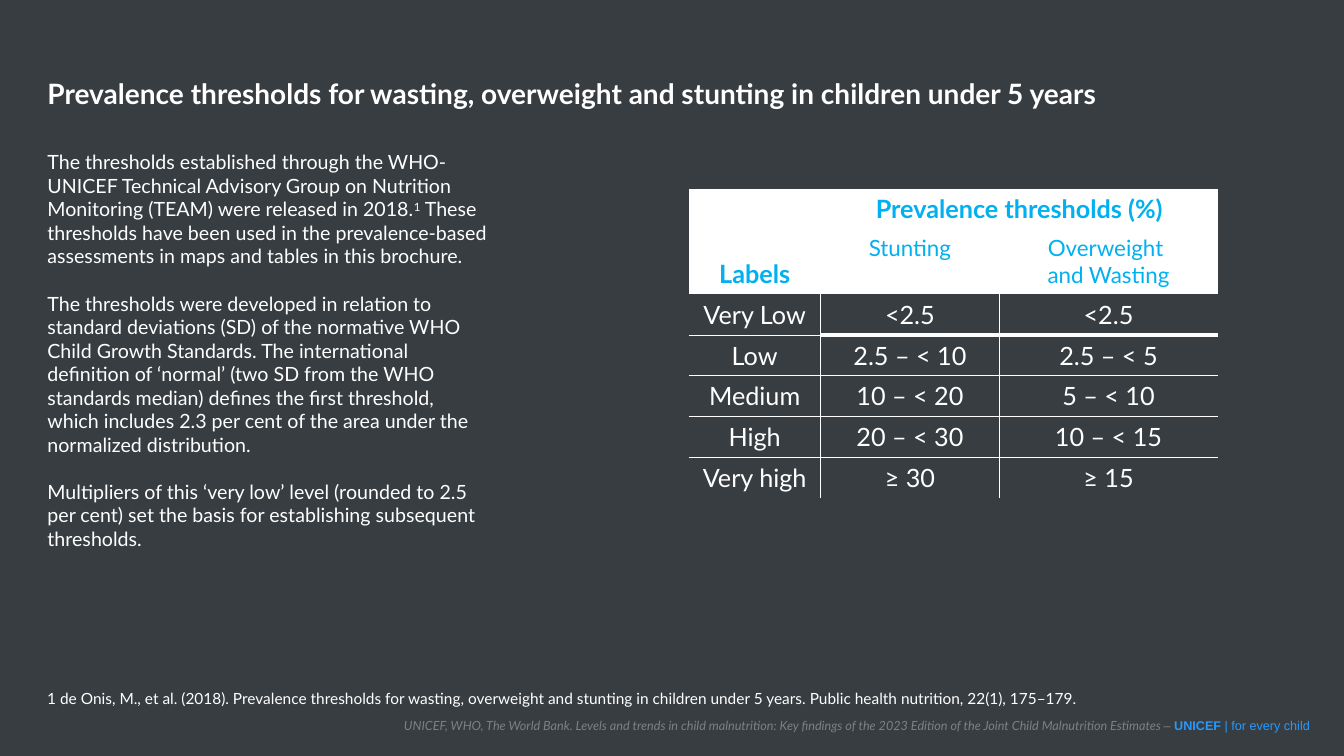
from lxml.etree import SubElement
from pptx import Presentation
from pptx.dml.color import RGBColor
from pptx.enum.text import MSO_ANCHOR, MSO_AUTO_SIZE, PP_ALIGN
from pptx.oxml.ns import qn
from pptx.util import Inches, Pt

DARK = RGBColor(0x37, 0x3D, 0x41)
WHITE = RGBColor(0xFF, 0xFF, 0xFF)
CYAN = RGBColor(0x00, 0xB0, 0xF0)
GRAY = RGBColor(0x80, 0x80, 0x80)
BLUE = RGBColor(0x28, 0x99, 0xFC)
NO_STYLE = "{2D5ABB26-0587-4C30-8999-92F81FD0307C}"

TITLE = ("Prevalence thresholds for wasting, overweight and stunting "
         "in children under 5 years")
# Each paragraph is a list of (text, is superscript)
BODY = [
    [("The thresholds established through the WHO-UNICEF Technical Advisory "
      "Group on Nutrition Monitoring (TEAM) were released in 2018.", False),
     ("1", True),
     (" These thresholds have been used in the prevalence-based assessments "
      "in maps and tables in this brochure.", False)],
    [("The thresholds were developed in relation to standard deviations (SD) "
      "of the normative WHO Child Growth Standards. The international "
      "definition of ‘normal’ (two SD from the WHO standards median) defines "
      "the first threshold, which includes 2.3 per cent of the area under "
      "the normalized distribution.", False)],
    [("Multipliers of this ‘very low’ level (rounded to 2.5 per cent) set "
      "the basis for establishing subsequent thresholds.", False)],
]
REFERENCE = ("1 de Onis, M., et al. (2018). Prevalence thresholds for wasting, "
             "overweight and stunting in children under 5 years. "
             "Public health nutrition, 22(1), 175–179.")
# Text, font, colour, bold, italic
FOOTER = [
    ("UNICEF, WHO, The World Bank. Levels and trends in child malnutrition: "
     "Key findings of the 2023 Edition of the Joint Child Malnutrition "
     "Estimates", "Lato", GRAY, False, True),
    (" – ", "Arial", GRAY, False, False),
    ("UNICEF", "Arial", BLUE, True, False),
    (" | for every child", "Arial", BLUE, False, False),
]
HEADER = [
    ["Labels", "Prevalence thresholds (%)", ""],
    ["", "Stunting", "Overweight \nand Wasting"],
]
LEVELS = [
    ["Very Low", "<2.5", "<2.5"],
    ["Low", "2.5 – < 10", "2.5 – < 5"],
    ["Medium", "10 – < 20", "5 – < 10"],
    ["High", "20 – < 30", "10 – < 15"],
    ["Very high", "≥ 30", "≥ 15"],
]
COL_WIDTHS = [1.31, 1.77, 2.17]
ROW_HEIGHTS = [0.41, 0.64] + [0.405] * len(LEVELS)


def style_run(r, size, color=WHITE, bold=False, italic=False, name="Lato"):
    f = r.font
    f.name, f.size, f.bold, f.italic = name, Pt(size), bold, italic
    f.color.rgb = color


def place(sp, x, y, w, h, anchor=MSO_ANCHOR.TOP):
    sp.left, sp.top, sp.width, sp.height = map(Inches, (x, y, w, h))
    tf = sp.text_frame
    tf.word_wrap = True
    tf.auto_size = MSO_AUTO_SIZE.NONE
    tf.vertical_anchor = anchor
    return tf


def add_title(slide, x, y, w, h):
    tf = place(slide.shapes.title, x, y, w, h)
    tf.text = TITLE
    p = tf.paragraphs[0]
    p.alignment = PP_ALIGN.LEFT
    style_run(p.runs[0], 20, bold=True)


def add_body(slide, x, y, w, h):
    tf = place(slide.placeholders[1], x, y, w, h)
    for i, parts in enumerate(BODY):
        p = tf.add_paragraph() if i else tf.paragraphs[0]
        pPr = p._p.get_or_add_pPr()
        pPr.set("marL", "0")
        pPr.set("indent", "0")
        SubElement(pPr, qn("a:buNone"))
        p.space_before = Pt(16.8 if i else 0)
        for text, superscript in parts:
            r = p.add_run()
            r.text = text
            style_run(r, 14)
            if superscript:
                r.font._element.set("baseline", "30000")


def add_reference(slide, x, y, w, h):
    tf = place(slide.shapes.add_textbox(0, 0, 0, 0), x, y, w, h)
    tf.text = REFERENCE
    style_run(tf.paragraphs[0].runs[0], 11)


def add_footer(slide, x, y, w, h):
    tf = place(slide.shapes.add_textbox(0, 0, 0, 0), x, y, w, h,
               MSO_ANCHOR.MIDDLE)
    p = tf.paragraphs[0]
    p.alignment = PP_ALIGN.RIGHT
    for text, name, color, bold, italic in FOOTER:
        r = p.add_run()
        r.text = text
        style_run(r, 9, color, bold, italic, name)


def set_borders(cell, **widths):
    """Draw white borders; keys L, R, T, B in that order, widths in points."""
    tcPr = cell._tc.get_or_add_tcPr()
    for side, width in widths.items():
        ln = SubElement(tcPr, qn(f"a:ln{side}"), w=str(Pt(width)))
        fill = SubElement(ln, qn("a:solidFill"))
        SubElement(fill, qn("a:srgbClr"), val=str(WHITE))


def fill_cell(cell, text, size, color, bold=False):
    cell.text = text
    for p in cell.text_frame.paragraphs:
        p.alignment = PP_ALIGN.CENTER
        for r in p.runs:
            style_run(r, size, color, bold)


def add_threshold_table(slide, x, y, w, h):
    rows = HEADER + LEVELS
    table = slide.shapes.add_table(len(rows), len(COL_WIDTHS), Inches(x),
                                   Inches(y), Inches(w), Inches(h)).table
    table.first_row = table.horz_banding = False
    table._tbl.tblPr.find(qn("a:tableStyleId")).text = NO_STYLE
    for col, width in zip(table.columns, COL_WIDTHS):
        col.width = Inches(width)
    for row, height in zip(table.rows, ROW_HEIGHTS):
        row.height = Inches(height)
    table.cell(0, 0).merge(table.cell(1, 0))
    table.cell(0, 1).merge(table.cell(0, 2))

    first, last = len(HEADER), len(rows) - 1
    for i, texts in enumerate(rows):
        for j, text in enumerate(texts):
            cell = table.cell(i, j)
            if i < first:
                cell.fill.solid()
                cell.fill.fore_color.rgb = WHITE
                if text:
                    fill_cell(cell, text, 16 if i else 18, CYAN, bold=i == 0)
                continue
            sides = {}
            if j:
                sides["L"] = 1
            if j < len(texts) - 1:
                sides["R"] = 1
            if i > first:
                sides["T"] = 3 if i == first + 1 and j else 1
            if i < last:
                sides["B"] = 3 if i == first and j else 1
            set_borders(cell, **sides)
            cell.fill.background()
            fill_cell(cell, text, 18, WHITE)
    table.cell(0, 0).vertical_anchor = MSO_ANCHOR.BOTTOM


def main():
    prs = Presentation()
    prs.slide_width, prs.slide_height = Inches(13.33), Inches(7.5)
    slide = prs.slides.add_slide(prs.slide_layouts[1])
    slide.background.fill.solid()
    slide.background.fill.fore_color.rgb = DARK
    add_footer(slide, 2.42, 7.07, 10.67, 0.26)
    add_body(slide, 0.37, 1.44, 4.58, 4.1)
    add_title(slide, 0.37, 0.71, 12.67, 0.44)
    add_reference(slide, 0.37, 6.79, 10.5, 0.3)
    add_threshold_table(slide, 6.83, 1.87, sum(COL_WIDTHS), sum(ROW_HEIGHTS))
    prs.save("out.pptx")


if __name__ == "__main__":
    main()
